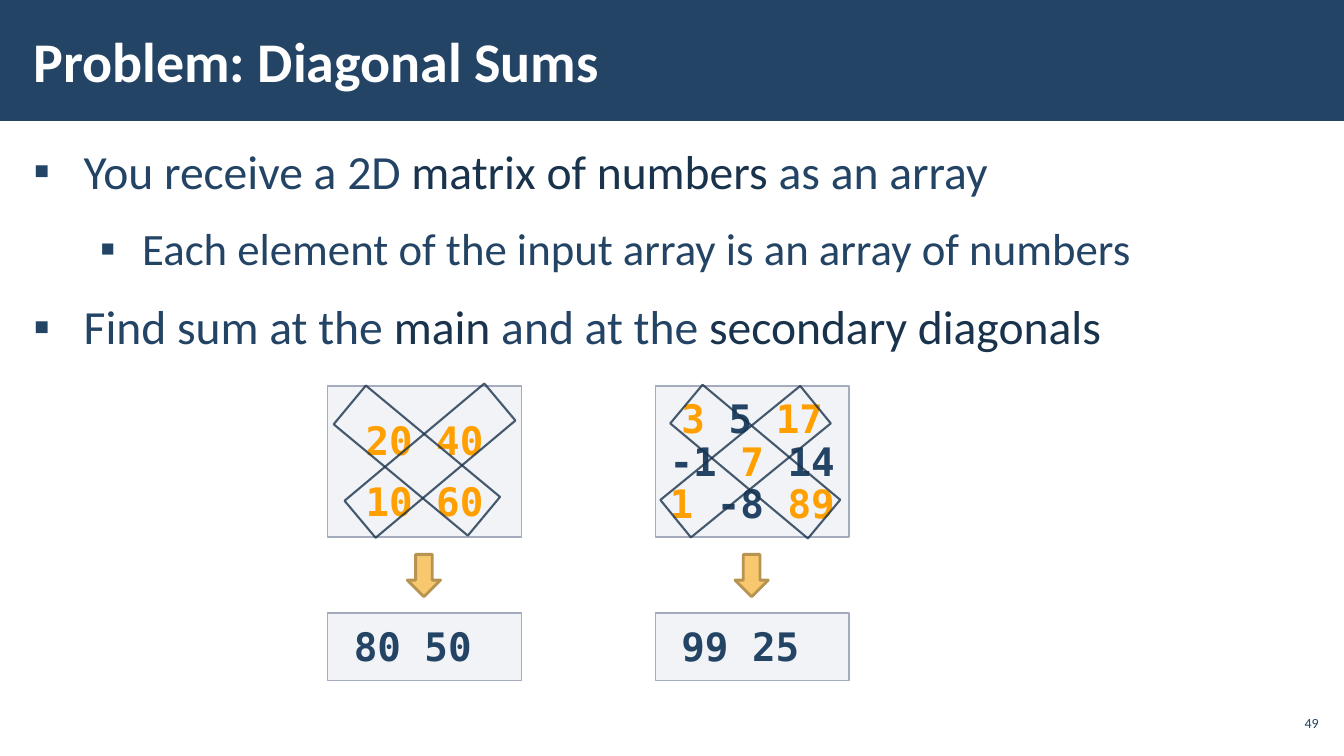
from lxml import etree
from pptx import Presentation
from pptx import util as u
from pptx.dml import color
from pptx.enum import shapes, text
from pptx.oxml import ns

COLOURS = {
    "navy": "234465", "dark": "1A334C", "white": "FFFFFF", "orange": "FFA000",
    "panel": "C2C7D2", "panel_edge": "A3ABBC", "arrow": "F7C86D", "arrow_edge": "B79451",
}
BODY, CODE = "Calibri", "DejaVu Sans Mono"
PROSE_INSETS = (0.12, 0.04, 0.12, 0.04)
PANEL_INSETS = (0.1, 0.08, 0.1, 0.04)
BULLET_INDENTS = [(0.5, -0.5), (1.08, -0.42)]


def rgb(name):
    return color.RGBColor.from_string(COLOURS[name])


def apply_format(target, values):
    for name, value in values.items():
        setattr(target, name, value)


def place(shape, box):
    sides = ("left", "top", "width", "height")
    apply_format(shape, dict(zip(sides, map(u.Inches, box))))


def set_frame(frame, insets, anchor):
    sides = ("margin_left", "margin_top", "margin_right", "margin_bottom")
    apply_format(frame, dict(zip(sides, map(u.Inches, insets))))
    apply_format(frame, {"word_wrap": True, "auto_size": text.MSO_AUTO_SIZE.NONE,
                         "vertical_anchor": anchor})


def add_runs(paragraph, pieces, font, size, bold=False):
    for words, colour in pieces:
        run = paragraph.add_run()
        run.text = words
        apply_format(run.font, {"name": font, "size": u.Pt(size), "bold": bold})
        run.font.color.rgb = rgb(colour)


def next_paragraph(frame, index):
    return frame.add_paragraph() if index else frame.paragraphs[0]


def set_alpha(fill, percent):
    tint = fill._xPr.find(".//" + ns.qn("a:srgbClr"))
    etree.SubElement(tint, ns.qn("a:alpha"), val=str(percent * 1000))


def add_block(slide, kind, box, fill=None, edge=None, edge_width=1):
    block = slide.shapes.add_shape(kind, *map(u.Inches, box))
    block.shadow.inherit = False
    if fill:
        block.fill.solid()
        block.fill.fore_color.rgb = rgb(fill)
    else:
        block.fill.background()
    if edge:
        block.line.color.rgb = rgb(edge)
        block.line.width = u.Pt(edge_width)
    else:
        block.line.fill.background()
    return block


def add_panel(slide, box, rows, spacing):
    panel = add_block(slide, shapes.MSO_SHAPE.RECTANGLE, box, "panel", "panel_edge")
    set_alpha(panel.fill, 20)
    set_frame(panel.text_frame, PANEL_INSETS, text.MSO_ANCHOR.MIDDLE)
    for index, row in enumerate(rows):
        line = next_paragraph(panel.text_frame, index)
        apply_format(line, {"alignment": text.PP_ALIGN.CENTER, "line_spacing": spacing})
        add_runs(line, row, CODE, 28, True)


def add_diagonal(slide, box, angle):
    outline = add_block(slide, shapes.MSO_SHAPE.RECTANGLE, box, edge="dark", edge_width=1.5)
    set_alpha(outline.line.fill, 80)
    outline.rotation = angle


def add_example(slide, left, matrix, spacing, sums):
    add_panel(slide, (left, 3.83, 1.92, 1.5), matrix, spacing)
    add_panel(slide, (left, 6.08, 1.92, 0.67), [[(sums, "navy")]], 0.9)
    add_block(slide, shapes.MSO_SHAPE.DOWN_ARROW, (left + 0.79, 5.5, 0.33, 0.42),
              "arrow", "arrow_edge", 2)


def fill_title(title, words):
    place(title, (0.21, 0.11, 10.39, 0.97))
    set_frame(title.text_frame, PROSE_INSETS, text.MSO_ANCHOR.MIDDLE)
    heading = title.text_frame.paragraphs[0]
    heading.alignment = text.PP_ALIGN.LEFT
    add_runs(heading, [(words, "white")], BODY, 40, True)


def fill_body(body, items):
    place(body, (0.21, 1.31, 12.92, 5.69))
    set_frame(body.text_frame, PROSE_INSETS, text.MSO_ANCHOR.TOP)
    for index, (level, pieces) in enumerate(items):
        item = next_paragraph(body.text_frame, index)
        properties = item._p.get_or_add_pPr()
        for name, length in zip(("marL", "indent"), BULLET_INDENTS[level]):
            properties.set(name, str(u.Inches(length)))
        etree.SubElement(properties, ns.qn("a:buChar"), char="▪")
        apply_format(item, {"level": level, "alignment": text.PP_ALIGN.LEFT,
                            "line_spacing": 1.1, "space_after": u.Pt(6),
                            "space_before": u.Pt(6 if index else 0)})
        add_runs(item, pieces, BODY, 34 - 2 * level)


def add_page_number(slide, number):
    box = slide.shapes.add_textbox(*map(u.Inches, (12.65, 7, 0.47, 0.34)))
    set_frame(box.text_frame, (0.04,) * 4, text.MSO_ANCHOR.MIDDLE)
    line = box.text_frame.paragraphs[0]
    line.alignment = text.PP_ALIGN.RIGHT
    add_runs(line, [(number, "navy")], BODY, 10)


def main():
    deck = Presentation()
    apply_format(deck, {"slide_width": u.Inches(13.33), "slide_height": u.Inches(7.5)})
    slide = deck.slides.add_slide(deck.slide_layouts[1])
    title, body = slide.placeholders

    band = add_block(slide, shapes.MSO_SHAPE.RECTANGLE, (0, 0, 13.33, 1.2), "navy")
    slide.shapes.element.insert(2, band.element)
    fill_title(title, "Problem: Diagonal Sums")
    fill_body(body, [
        (0, [("You receive a 2D ", "navy"), ("matrix of numbers", "dark"),
             (" as an array", "navy")]),
        (1, [("Each element of the input array is an array of numbers", "navy")]),
        (0, [("Find sum at the ", "navy"), ("main", "dark"), (" and at the ", "navy"),
             ("secondary diagonals", "dark")]),
    ])
    add_page_number(slide, "49")

    add_example(slide, 3.25, [[("20 40", "orange")], [("10 60", "orange")]], 1.3, "80 50 ")
    add_example(slide, 6.5, [
        [("3", "orange"), (" 5 ", "navy"), ("17", "orange")],
        [("-1 ", "navy"), ("7", "orange"), (" 14", "navy")],
        [("1 ", "orange"), ("-8 ", "navy"), ("89", "orange")],
    ], 0.9, "99 25 ")

    for box, angle in [
        ((3.27, 4.32, 1.73, 0.5), 39.7),
        ((3.36, 4.33, 1.81, 0.48), 320),
        ((6.6, 4.33, 1.78, 0.5), 39.9),
        ((6.5, 4.34, 1.79, 0.48), 320.8),
    ]:
        add_diagonal(slide, box, angle)

    deck.save("out.pptx")


if __name__ == "__main__":
    main()
